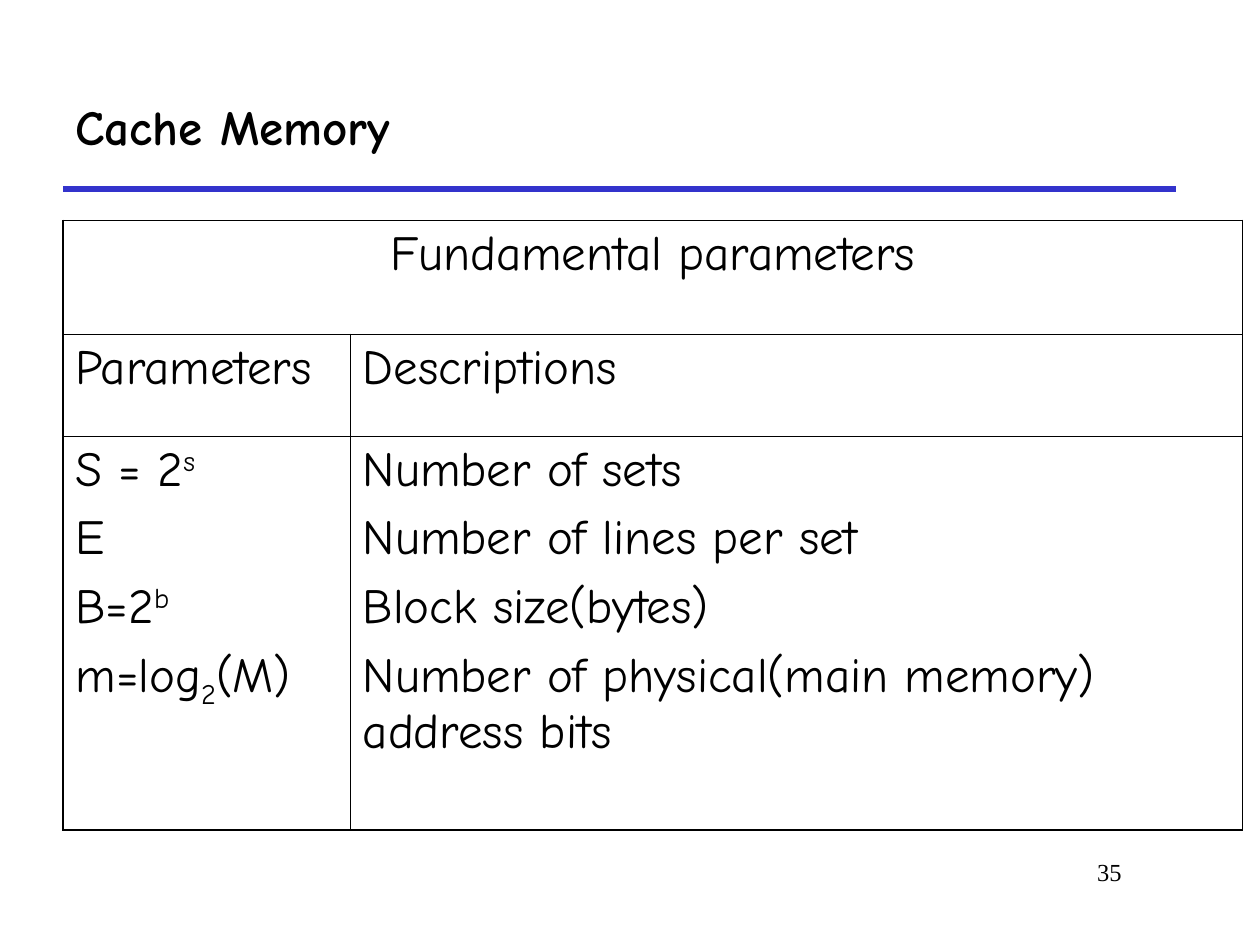
from dataclasses import dataclass

from lxml.etree import SubElement
from pptx import Presentation
from pptx.dml.color import RGBColor
from pptx.enum.shapes import MSO_CONNECTOR
from pptx.enum.text import MSO_ANCHOR, PP_ALIGN
from pptx.oxml.ns import qn
from pptx.util import Inches, Pt

BLACK = "000000"
BLUE = "3333CC"
BODY_FONT = "Comic Neue"
NUMBER_FONT = "Times New Roman"
OUTER, INNER = 1.08, 0.45
COLUMNS = (2.28, 7.08)
ROWS = (0.9, 0.81, 3.13)


@dataclass
class Piece:
    text: str
    baseline: int = 0


@dataclass
class CellText:
    row: int
    col: int
    lines: list[list[Piece]]
    align: PP_ALIGN = PP_ALIGN.LEFT


CELLS = [
    CellText(0, 0, [[Piece("Fundamental parameters")]], PP_ALIGN.CENTER),
    CellText(1, 0, [[Piece("Parameters")]]),
    CellText(1, 1, [[Piece("Descriptions")]]),
    CellText(2, 0, [
        [Piece("S = 2"), Piece("s", 30)],
        [Piece("E")],
        [Piece("B=2"), Piece("b", 30)],
        [Piece("m=log"), Piece("2", -25), Piece("(M)")],
    ]),
    CellText(2, 1, [
        [Piece("Number of sets")],
        [Piece("Number of lines per set")],
        [Piece("Block size(bytes)")],
        [Piece("Number of physical(main memory) address bits")],
    ]),
]


def color(value: str) -> RGBColor:
    return RGBColor.from_string(value)


def style_font(font, name: str, size: float, bold: bool = False) -> None:
    font.name = name
    font.size = Pt(size)
    font.bold = bold
    font.color.rgb = color(BLACK)


def add_title(slide, text: str) -> None:
    s = slide.shapes.title
    s.left, s.top, s.width, s.height = map(Inches, (0.5, 0.5, 8.83, 1))
    tf = s.text_frame
    tf.text = text
    tf.vertical_anchor = MSO_ANCHOR.MIDDLE
    p = tf.paragraphs[0]
    p.alignment = PP_ALIGN.LEFT
    style_font(p.runs[0].font, BODY_FONT, 28, True)


def add_rule(slide) -> None:
    s = slide.shapes.add_connector(
        MSO_CONNECTOR.STRAIGHT, Inches(0.5), Inches(1.5), Inches(9.33), Inches(1.5))
    s.line.color.rgb = color(BLUE)
    s.line.width = Pt(3)
    SubElement(s._element.spPr, qn("a:effectLst"))


def add_slide_number(slide, text: str) -> None:
    s = slide.shapes.add_textbox(Inches(7.58), Inches(6.75), Inches(1.42), Inches(0.5))
    tf = s.text_frame
    tf.word_wrap = True
    tf.text = text
    p = tf.paragraphs[0]
    p.alignment = PP_ALIGN.RIGHT
    style_font(p.runs[0].font, NUMBER_FONT, 14)


def set_borders(cell, row: int, col: int) -> None:
    edges = {
        "a:lnL": col == 0,
        "a:lnR": col == len(COLUMNS) - 1 or row == 0,
        "a:lnT": row == 0,
        "a:lnB": row == len(ROWS) - 1,
    }
    tc_pr = cell._tc.get_or_add_tcPr()
    for tag, is_outer in edges.items():
        ln = SubElement(tc_pr, qn(tag), w=str(Pt(OUTER if is_outer else INNER)))
        fill = SubElement(ln, qn("a:solidFill"))
        SubElement(fill, qn("a:srgbClr"), val=BLACK)


def fill_cell(cell, content: CellText) -> None:
    tf = cell.text_frame
    for i, line in enumerate(content.lines):
        p = tf.add_paragraph() if i else tf.paragraphs[0]
        p.alignment = content.align
        p.space_before = Pt(7 if i else 0)
        for piece in line:
            r = p.add_run()
            r.text = piece.text
            style_font(r.font, BODY_FONT, 28)
            if piece.baseline:
                r.font._element.set("baseline", str(piece.baseline * 1000))


def add_parameter_table(slide) -> None:
    frame = slide.shapes.add_table(
        len(ROWS), len(COLUMNS), Inches(0.5), Inches(1.75),
        Inches(sum(COLUMNS)), Inches(sum(ROWS)))
    table = frame.table
    table.first_row = False
    table.horz_banding = False
    for column, width in zip(table.columns, COLUMNS):
        column.width = Inches(width)
    for row, height in zip(table.rows, ROWS):
        row.height = Inches(height)
    for i in range(len(ROWS)):
        for j in range(len(COLUMNS)):
            cell = table.cell(i, j)
            set_borders(cell, i, j)
            cell.fill.background()
    table.cell(0, 0).merge(table.cell(0, 1))
    for content in CELLS:
        fill_cell(table.cell(content.row, content.col), content)


def main() -> None:
    prs = Presentation()
    prs.slide_width, prs.slide_height = Inches(10), Inches(7.5)
    slide = prs.slides.add_slide(prs.slide_layouts[5])
    add_rule(slide)
    add_slide_number(slide, "35")
    add_title(slide, "Cache Memory")
    add_parameter_table(slide)
    prs.save("out.pptx")


if __name__ == "__main__":
    main()
